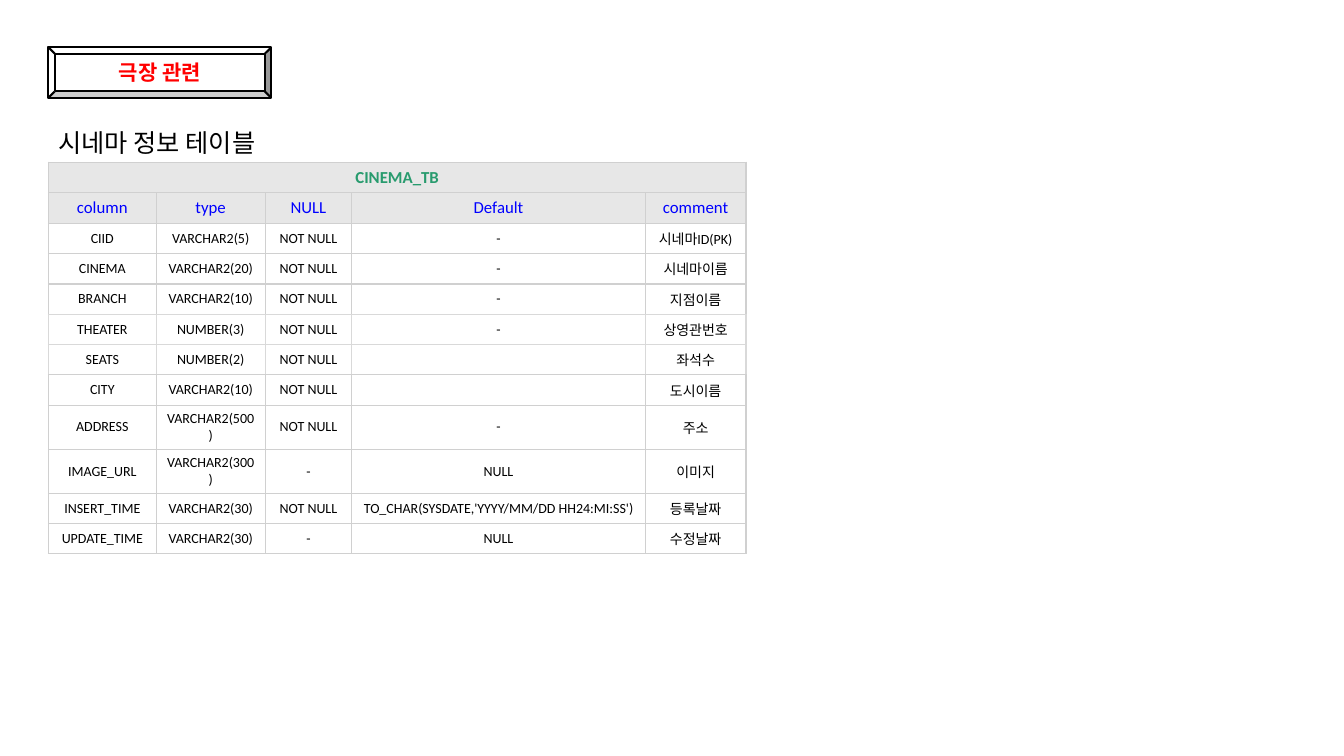
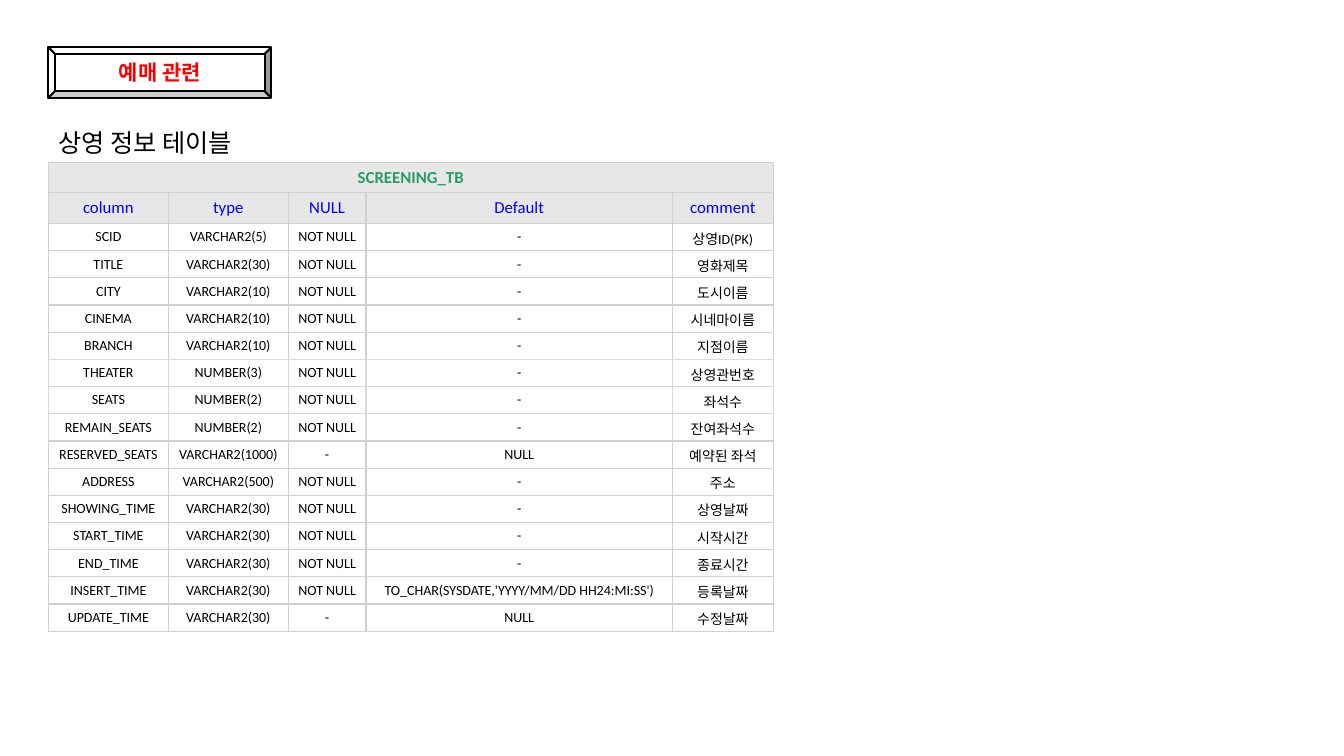
from lxml import etree
from pptx import Presentation
from pptx.dml.color import RGBColor
from pptx.enum import shapes, text
from pptx.oxml.ns import qn
from pptx.util import Inches, Pt

FONT = "Calibri"
BLACK, WHITE, RED = "000000", "FFFFFF", "FF0000"
GREEN, BLUE, GRAY = "289B6E", "0000FF", "E7E7E7"
BORDER, LIGHT_BORDER = "D0D0D0", "D9D9D9"
LEFT = Inches(0.48)
HEADINGS = ("column", "type", "NULL", "Default", "comment")
LIGHT_ROWS = ("THEATER", "SEATS", "REMAIN_SEATS")
NN = "NOT NULL"
NOW = "TO_CHAR(SYSDATE,'YYYY/MM/DD HH24:MI:SS')"
TIME_ROWS = [
    ("INSERT_TIME", "VARCHAR2(30)", NN, NOW, "등록날짜"),
    ("UPDATE_TIME", "VARCHAR2(30)", "-", "NULL", "수정날짜"),
]

CINEMA_ROWS = [
    ("CIID", "VARCHAR2(5)", NN, "-", "시네마ID(PK)"),
    ("CINEMA", "VARCHAR2(20)", NN, "-", "시네마이름"),
    ("BRANCH", "VARCHAR2(10)", NN, "-", "지점이름"),
    ("THEATER", "NUMBER(3)", NN, "-", "상영관번호"),
    ("SEATS", "NUMBER(2)", NN, "", "좌석수"),
    ("CITY", "VARCHAR2(10)", NN, "", "도시이름"),
    ("ADDRESS", "VARCHAR2(500)", NN, "-", "주소"),
    ("IMAGE_URL", "VARCHAR2(300)", "-", "NULL", "이미지"),
] + TIME_ROWS

SCREENING_ROWS = [
    ("SCID", "VARCHAR2(5)", NN, "-", "상영ID(PK)"),
    ("TITLE", "VARCHAR2(30)", NN, "-", "영화제목"),
    ("CITY", "VARCHAR2(10)", NN, "-", "도시이름"),
    ("CINEMA", "VARCHAR2(10)", NN, "-", "시네마이름"),
    ("BRANCH", "VARCHAR2(10)", NN, "-", "지점이름"),
    ("THEATER", "NUMBER(3)", NN, "-", "상영관번호"),
    ("SEATS", "NUMBER(2)", NN, "-", "좌석수"),
    ("REMAIN_SEATS", "NUMBER(2)", NN, "-", "잔여좌석수"),
    ("RESERVED_SEATS", "VARCHAR2(1000)", "-", "NULL", "예약된 좌석"),
    ("ADDRESS", "VARCHAR2(500)", NN, "-", "주소"),
    ("SHOWING_TIME", "VARCHAR2(30)", NN, "-", "상영날짜"),
    ("START_TIME", "VARCHAR2(30)", NN, "-", "시작시간"),
    ("END_TIME", "VARCHAR2(30)", NN, "-", "종료시간"),
] + TIME_ROWS

SLIDES = [
    dict(section="극장 관련", title="시네마 정보 테이블", name="CINEMA_TB",
         rows=CINEMA_ROWS, widths=(1.07, 1.08, 0.86, 2.91, 1),
         height=0.3, side=0.1, comment_margins=(0.05, 0.05)),
    dict(section="예매 관련", title="상영 정보 테이블", name="SCREENING_TB",
         rows=SCREENING_ROWS, widths=(1.19, 1.19, 0.77, 3.04, 1),
         height=0.27, side=0.05, comment_margins=(0.04, 0.02)),
]


def rgb(value):
    return RGBColor.from_string(value)


def write(tf, value, size, color, bold=False, align=text.PP_ALIGN.CENTER):
    p = tf.paragraphs[0]
    p.alignment = align
    if not value:
        etree.SubElement(p._p, qn("a:endParaRPr"), sz=str(size * 100))
        return
    r = p.add_run()
    r.text = value
    r.font.name = FONT
    r.font.size = Pt(size)
    r.font.bold = bold
    r.font.color.rgb = rgb(color)


prs = Presentation()
prs.slide_width = Inches(13.33)
prs.slide_height = Inches(7.5)

for data in SLIDES:
    s = prs.slides.add_slide(prs.slide_layouts[5])

    badge = s.shapes.add_shape(shapes.MSO_SHAPE.BEVEL, LEFT, Inches(0.47),
                               Inches(2.21), Inches(0.5))
    badge.shadow.inherit = False
    badge.fill.solid()
    badge.fill.fore_color.rgb = rgb(WHITE)
    badge.line.color.rgb = rgb(BLACK)
    badge.line.width = Pt(1.5)
    badge.text_frame.vertical_anchor = text.MSO_ANCHOR.MIDDLE
    write(badge.text_frame, data["section"], 15, RED, True)

    title = s.shapes.title
    title.left, title.top = LEFT, Inches(1.21)
    title.width, title.height = Inches(2.98), Inches(0.4)
    tf = title.text_frame
    tf.auto_size = text.MSO_AUTO_SIZE.NONE
    tf.vertical_anchor = text.MSO_ANCHOR.TOP
    write(tf, data["title"], 18, BLACK, align=text.PP_ALIGN.LEFT)

    rows = [(data["name"], "", "", "", ""), HEADINGS] + data["rows"]
    heights = [0.3, 0.3] + [data["height"]] * len(data["rows"])
    table = s.shapes.add_table(
        len(rows), len(HEADINGS), LEFT, Inches(1.61),
        Inches(sum(data["widths"])), Inches(sum(heights))).table
    for column, width in zip(table.columns, data["widths"]):
        column.width = Inches(width)
    for row, height in zip(table.rows, heights):
        row.height = Inches(height)
    table.cell(0, 0).merge(table.cell(0, len(HEADINGS) - 1))

    for i, values in enumerate(rows):
        size, color = [(12, GREEN), (12, BLUE)][i] if i < 2 else (10, BLACK)
        border = LIGHT_BORDER if values[0] in LIGHT_ROWS else BORDER
        for j, value in enumerate(values):
            cell = table.cell(i, j)
            cell.vertical_anchor = text.MSO_ANCHOR.MIDDLE
            cell.margin_left = cell.margin_right = Inches(data["side"])
            if i > 1 and j == len(HEADINGS) - 1:
                top, bottom = data["comment_margins"]
                cell.margin_top, cell.margin_bottom = Inches(top), Inches(bottom)
            cell.fill.solid()
            cell.fill.fore_color.rgb = rgb(GRAY if i < 2 else WHITE)
            write(cell.text_frame, value, size, color, i == 0)
            tcPr = cell._tc.get_or_add_tcPr()
            for k, side in enumerate(("lnL", "lnR", "lnT", "lnB")):
                ln = etree.Element(qn("a:" + side), w=str(Pt(1)))
                fill = etree.SubElement(ln, qn("a:solidFill"))
                etree.SubElement(fill, qn("a:srgbClr"), val=border)
                tcPr.insert(k, ln)

prs.save("out.pptx")
